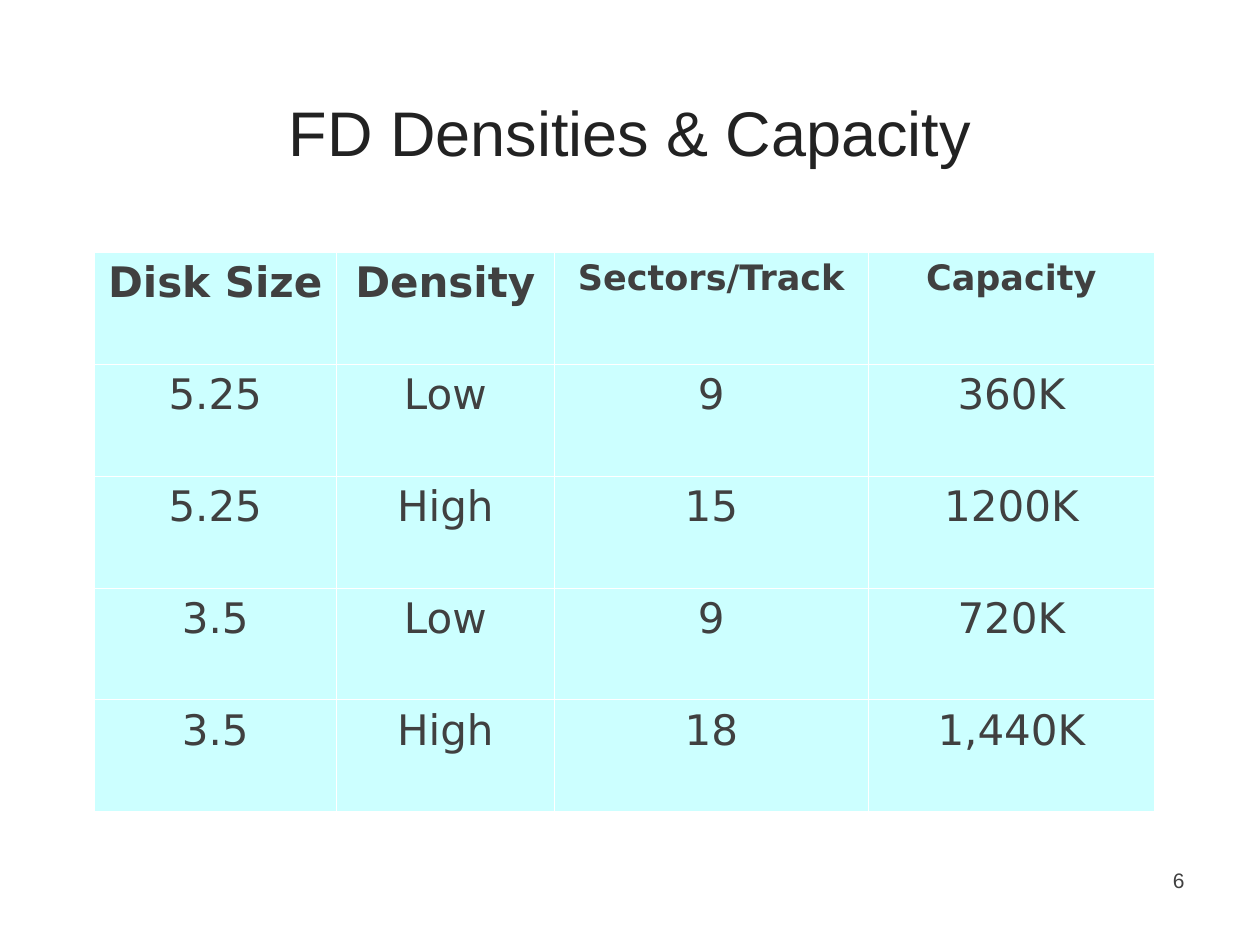
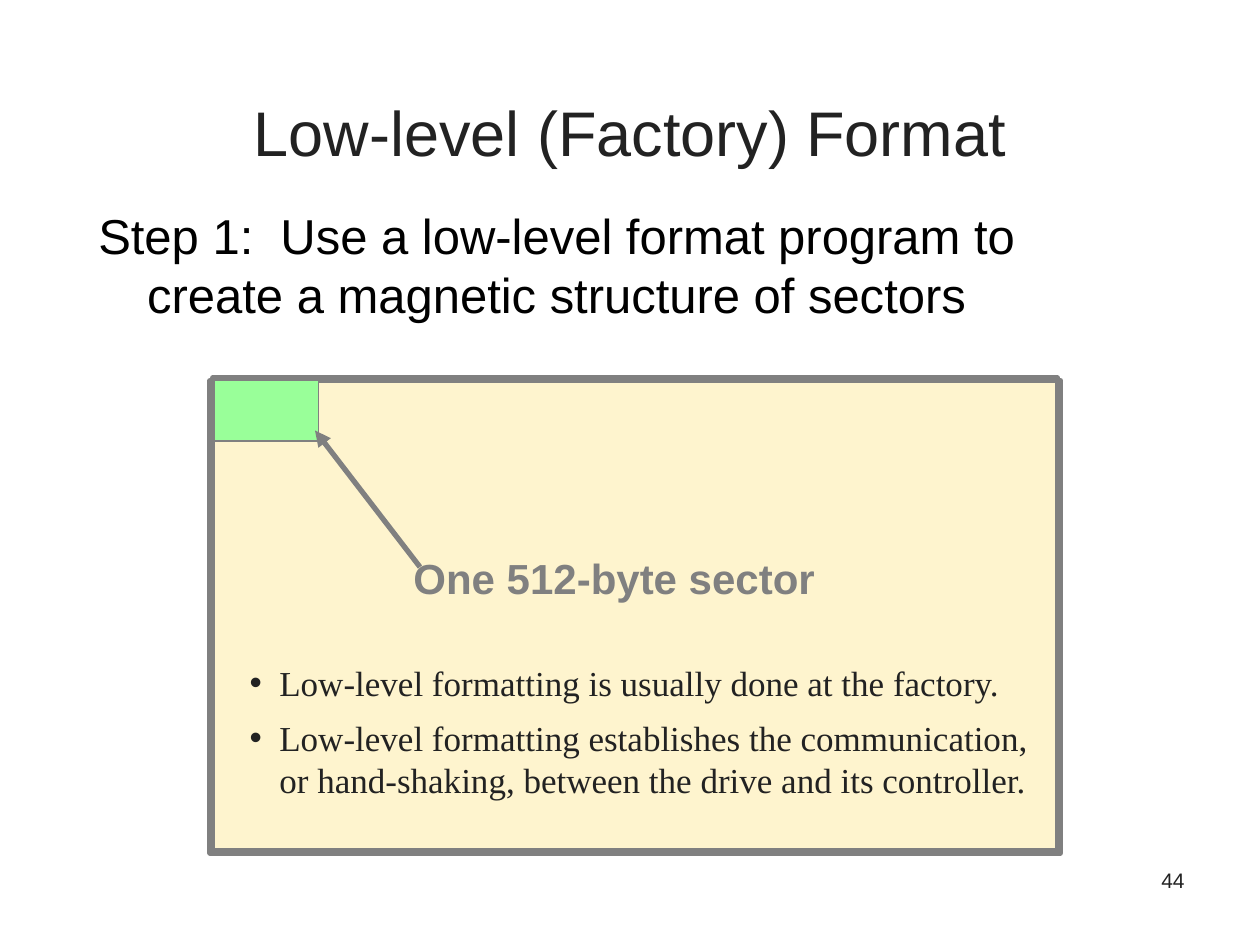
from dataclasses import dataclass
from lxml.etree import SubElement
from pptx import Presentation
from pptx.dml.color import RGBColor as Rgb
from pptx.enum.shapes import MSO_CONNECTOR as Link, MSO_SHAPE as Kind
from pptx.enum.text import MSO_ANCHOR as Anchor, MSO_AUTO_SIZE as Fit, PP_ALIGN as Align
from pptx.oxml import parse_xml
from pptx.oxml.ns import nsdecls, qn
from pptx.util import Pt


@dataclass(frozen=True)
class Theme:
    sans: str = "Arial"
    serif: str = "Times New Roman"
    grid: str = "DejaVu Sans"
    ink: str = "222222"
    soft: str = "404040"
    black: str = "000000"
    gray: str = "808080"
    white: str = "FFFFFF"
    aqua: str = "CCFFFF"
    cream: str = "FEF4CE"
    green: str = "99FF99"
    title: int = 36
    step: int = 28
    label: int = 24
    small: int = 20
    page: int = 12
    thick: float = 3
    thin: float = 0.75
    edge: float = 1.08
    rule: float = 0.45


class Deck:
    def __init__(self, theme):
        self.theme = theme
        self.file = Presentation()
        self.file.slide_width, self.file.slide_height = Pt(720), Pt(540)
        self.slide = None

    def start(self, layout, title, page, color):
        t = self.theme
        self.slide = self.file.slides.add_slide(self.file.slide_layouts[layout])
        head = self.slide.shapes.title
        self.place(head, 42, 30, 636, 90)
        head.text_frame.text = title
        head.text_frame.vertical_anchor = Anchor.MIDDLE
        self.style(head.text_frame.paragraphs[0], t.title, t.ink, align=Align.CENTER)
        self.text(page, (516, 492, 168, 36), t.page, color, Align.RIGHT)

    def place(self, shape, left, top, width, height):
        shape.left, shape.top = Pt(left), Pt(top)
        shape.width, shape.height = Pt(width), Pt(height)

    def style(self, para, size, color, face=None, bold=False, align=Align.LEFT, before=0):
        font = para.font
        font.name, font.size, font.bold = face or self.theme.sans, Pt(size), bold
        font.color.rgb = Rgb.from_string(color)
        para.alignment, para.space_before = align, Pt(before)

    def text(self, words, box, size, color, align):
        frame = self.slide.shapes.add_textbox(*map(Pt, box)).text_frame
        frame.word_wrap = True
        frame.text = words
        self.style(frame.paragraphs[0], size, color, align=align)

    def rect(self, group, box, fill=None, line=0):
        shape = group.shapes.add_shape(Kind.RECTANGLE, *map(Pt, box))
        shape.shadow.inherit = False
        if fill:
            shape.fill.solid()
            shape.fill.fore_color.rgb = Rgb.from_string(fill)
        else:
            shape.fill.background()
        if line:
            shape.line.color.rgb = Rgb.from_string(self.theme.gray)
            shape.line.width = Pt(line)
        else:
            shape.line.fill.background()
        return shape

    def label(self, group, words, box):
        t = self.theme
        frame = self.rect(group, box, t.cream).text_frame
        frame.text = words
        frame.word_wrap = True
        frame.vertical_anchor = Anchor.TOP
        self.style(frame.paragraphs[0], t.label, t.gray, bold=True,
                   align=Align.CENTER, before=15)

    def arrow(self, group, start, end):
        link = group.shapes.add_connector(Link.STRAIGHT, *map(Pt, start + end))
        link.line.color.rgb = Rgb.from_string(self.theme.gray)
        link.line.width = Pt(self.theme.thick)
        SubElement(link.line._get_or_add_ln(), qn("a:tailEnd"), type="triangle")
        SubElement(link._element.spPr, qn("a:effectLst"))

    def list(self, items, box):
        t = self.theme
        body = self.slide.placeholders[1]
        self.place(body, *box)
        self.slide.shapes._spTree.append(body._element)
        frame = body.text_frame
        frame.auto_size = Fit.NONE
        frame.margin_left = frame.margin_right = Pt(3.6)
        frame.margin_top = frame.margin_bottom = Pt(1.5)
        frame.text = "\n".join(items)
        for i, para in enumerate(frame.paragraphs):
            self.style(para, t.small, t.ink, t.serif, before=7.5 if i else 12.5)
            props = para._p.get_or_add_pPr()
            props.set("marL", str(Pt(17)))
            props.set("indent", str(-Pt(17)))

    def border(self, cell, sides):
        props = cell._tc.get_or_add_tcPr()
        for i, (side, width) in enumerate(sides.items()):
            props.insert(i, parse_xml(
                f'<a:ln{side} {nsdecls("a")} w="{Pt(width)}"><a:solidFill>'
                f'<a:srgbClr val="{self.theme.white}"/></a:solidFill></a:ln{side}>'))

    def table(self, rows, left, top, widths, height):
        t = self.theme
        tall, wide = len(rows), len(widths)
        grid = self.slide.shapes.add_table(
            tall, wide, Pt(left), Pt(top), Pt(sum(widths)), Pt(height * tall)).table
        for col, width in zip(grid.columns, widths):
            col.width = Pt(width)
        for r, row in enumerate(rows):
            grid.rows[r].height = Pt(height)
            for c, words in enumerate(row):
                cell = grid.cell(r, c)
                cell.text = words
                cell.fill.solid()
                cell.fill.fore_color.rgb = Rgb.from_string(t.aqua)
                size = t.small if r == 0 and c > 1 else t.label
                self.style(cell.text_frame.paragraphs[0], size, t.soft, t.grid,
                           r == 0, Align.CENTER, size / 4)
                outer = {"L": c == 0, "R": c == wide - 1, "T": r == 0, "B": r == tall - 1}
                self.border(cell, {k: t.edge if out else t.rule for k, out in outer.items()})


def main():
    theme = Theme()
    deck = Deck(theme)

    deck.start(5, "FD Densities & Capacity", "6", theme.soft)
    deck.table([
        ("Disk Size", "Density", "Sectors/Track", "Capacity"),
        ("5.25", "Low", "9", "360K"),
        ("5.25", "High", "15", "1200K"),
        ("3.5", "Low", "9", "720K"),
        ("3.5", "High", "18", "1,440K"),
    ], 54, 144, (138, 125, 179, 164), 64)

    deck.start(1, "Low-level (Factory) Format", "44", theme.ink)
    deck.text("Step 1:  Use a low-level format program to create a magnetic structure of sectors",
              (18, 114, 600, 75), theme.step, theme.black, Align.CENTER)
    disk = deck.slide.shapes.add_group_shape()
    deck.rect(disk, (120, 217.5, 486, 270), theme.cream, theme.thick)
    deck.rect(disk, (121.5, 216, 60.5, 36), theme.green, theme.thin)
    deck.rect(disk, (121.5, 216, 483, 270), line=theme.thick)
    deck.label(disk, "One 512-byte sector", (228, 312, 246, 36))
    deck.arrow(disk, (240, 324), (180, 246))
    deck.list([
        "Low-level formatting is usually done at the factory.",
        "Low-level formatting establishes the communication, "
        "or hand-shaking, between the drive and its controller.",
    ], (139, 376.5, 462, 83))

    deck.file.save("out.pptx")


if __name__ == "__main__":
    main()
